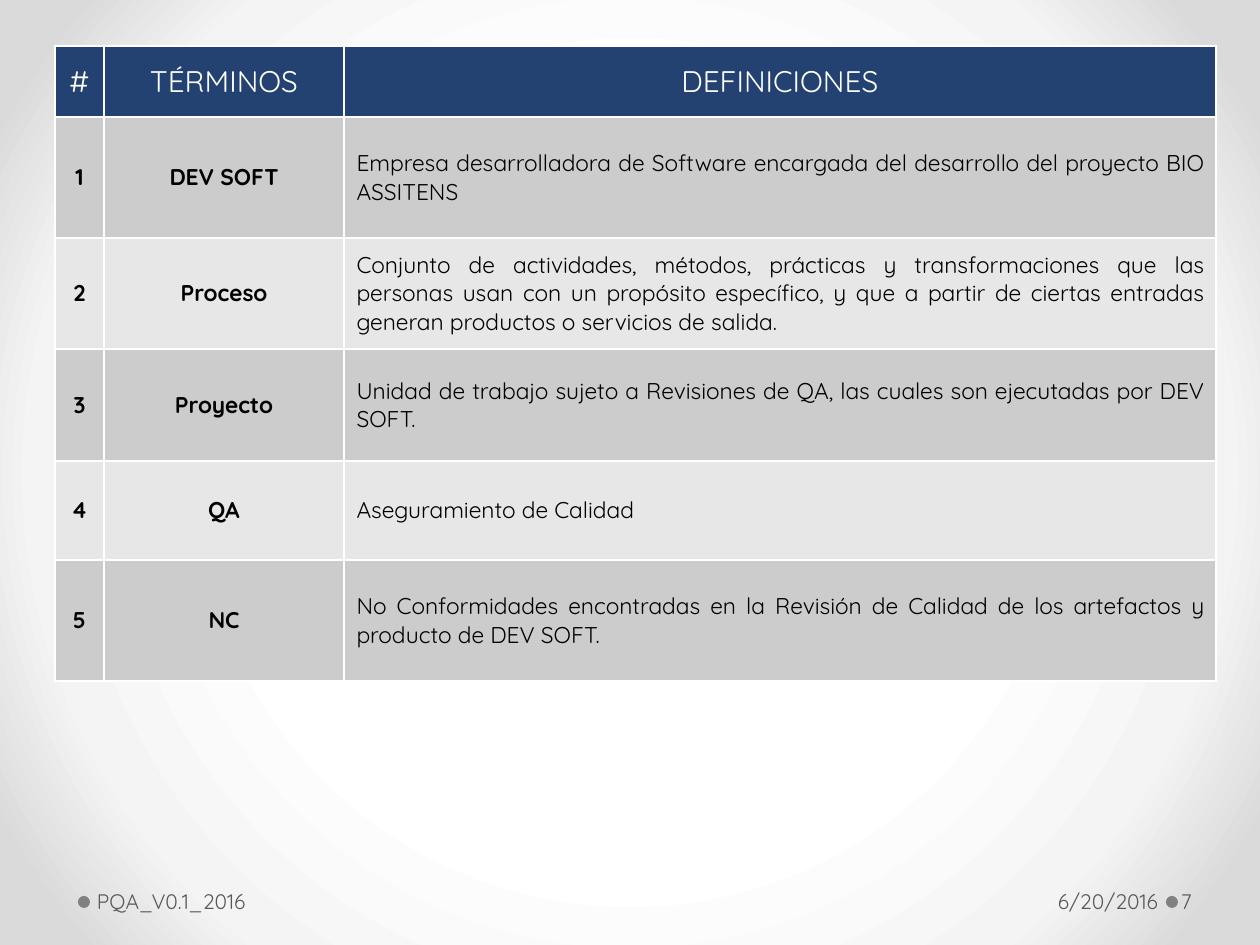
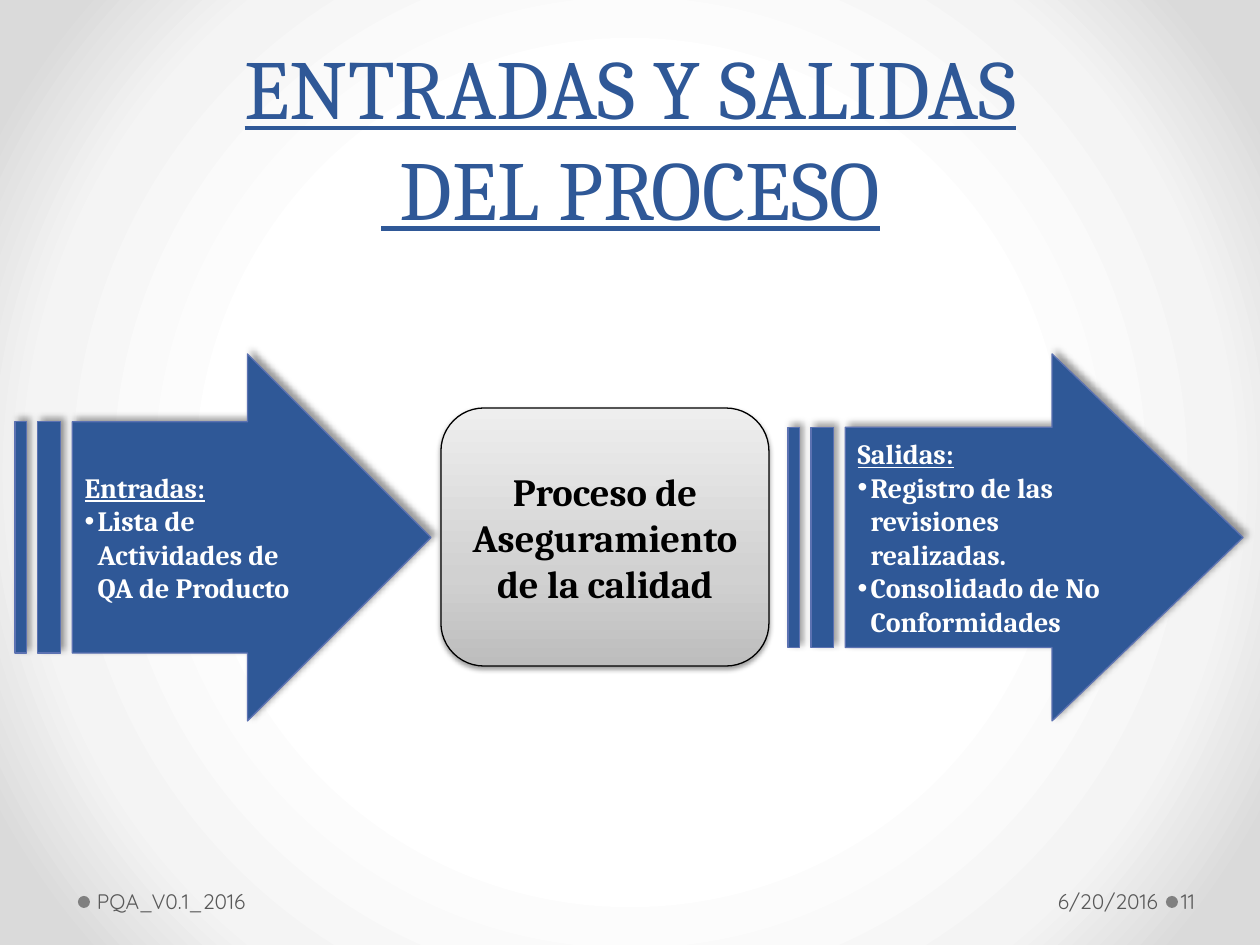
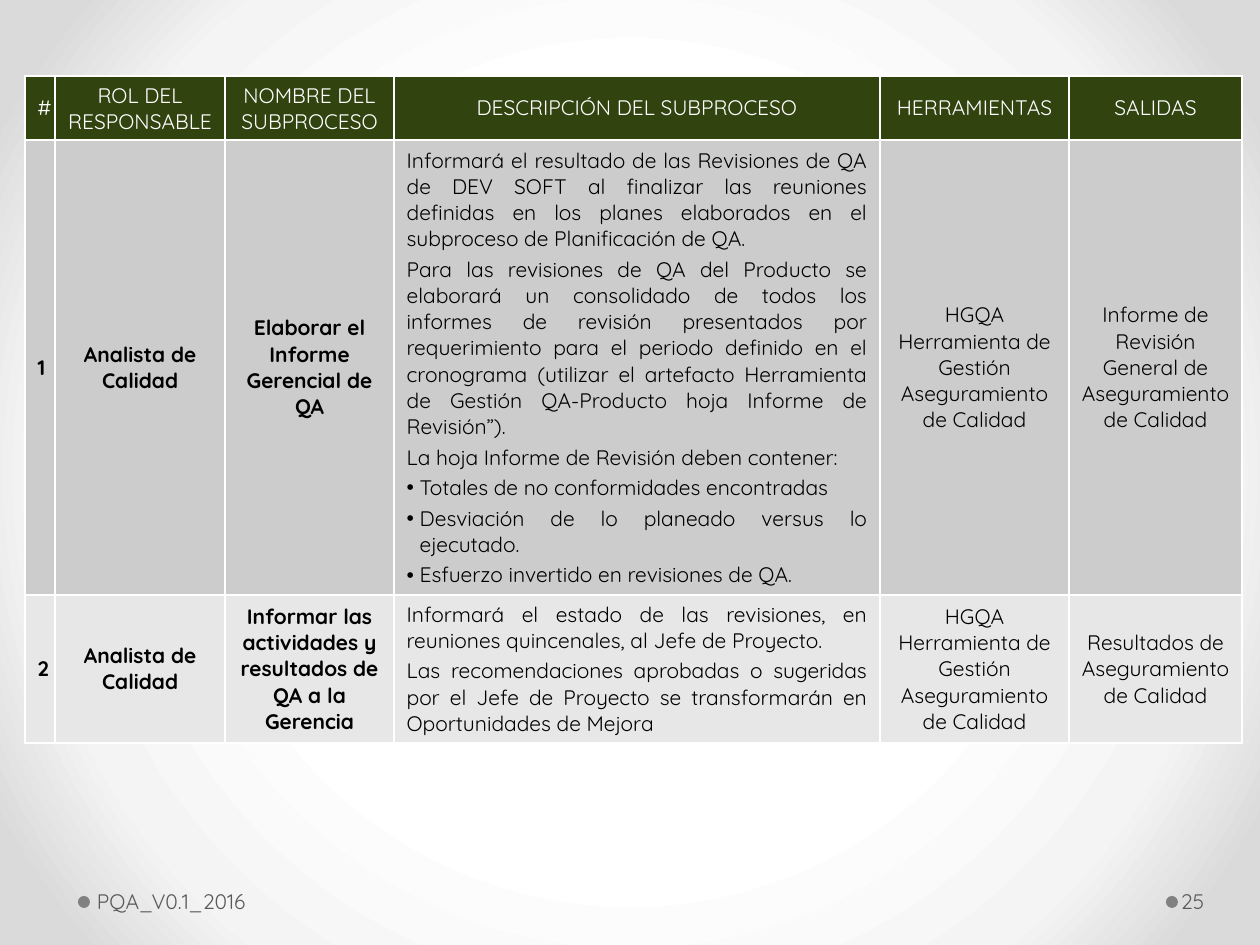
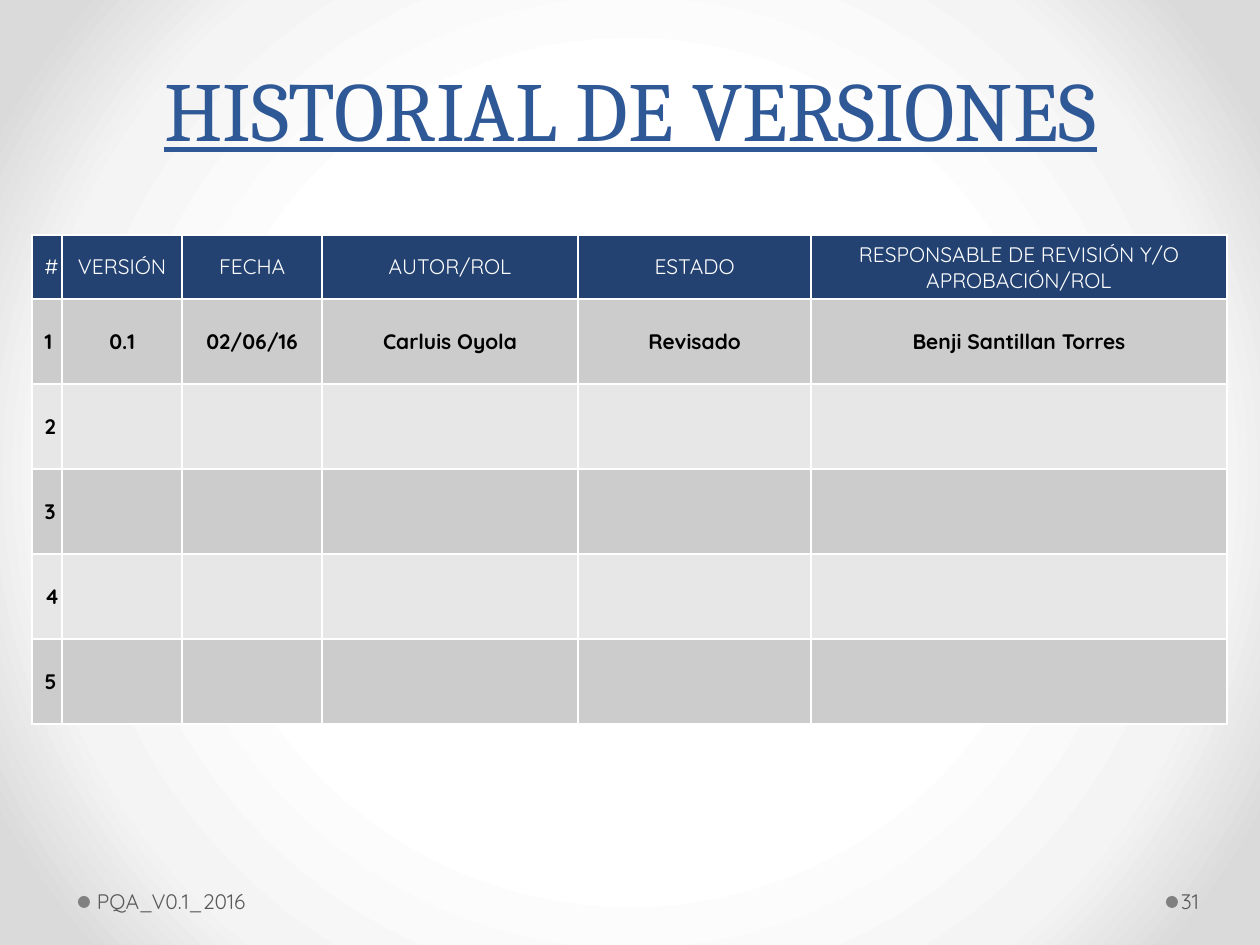
"""Builds four slides of a quality assurance process deck."""
from dataclasses import dataclass
from typing import NamedTuple

from lxml.etree import SubElement
from pptx import Presentation
from pptx.dml.color import RGBColor
from pptx.enum.shapes import MSO_SHAPE
from pptx.enum.text import MSO_ANCHOR, PP_ALIGN
from pptx.oxml import parse_xml
from pptx.oxml.ns import nsdecls, qn
from pptx.util import Emu, Pt

SERIF, SANS = "Cambria", "Quicksand"
WHITE, BLACK, BLUE, NAVY, GREEN = "FFFFFF", "000000", "2F5897", "234271", "314410"
GREY, DOT, EDGE = "595959", "808080", "5C72B2"
BANDS = ("CCCCCC", "E7E7E7")
BACK = ((50, "FFFFFF"), (76, "F4F4F4"), (92, "DADADA"))
STEEL = ((0, "BDBDBD"), (35, "D1D1D1"), (100, "EEEEEE"))
BULLET = "•"
LEFT, CENTER, RIGHT, JUST = PP_ALIGN.LEFT, PP_ALIGN.CENTER, PP_ALIGN.RIGHT, PP_ALIGN.JUSTIFY


class Box(NamedTuple):
    """A place on the slide in pixels."""
    x: int
    y: int
    w: int
    h: int


class Shade(NamedTuple):
    """A shadow: opacity in percent, blur and distance in points, angle in degrees."""
    alpha: int
    blur: float
    dist: float
    angle: int


@dataclass(frozen=True)
class Style:
    """The look of a paragraph."""
    size: int
    face: str
    color: str
    bold: bool = False
    under: bool = False
    align: PP_ALIGN = LEFT
    lead: bool = False


@dataclass(frozen=True)
class Grid:
    """A table whose column 'prose' is justified and starts the light text."""
    x: int
    y: int
    cols: list[int]
    rows: list[int]
    color: str
    head: int
    body: int
    prose: int
    cells: list[list[str]]


@dataclass(frozen=True)
class Arrow:
    """A striped arrow with a heading and bullets."""
    box: Box
    bends: tuple[float, float]
    head: str
    items: list[str]


TITLE = Style(48, SERIF, BLUE, under=True, align=CENTER)
NOTE = Style(12, SANS, GREY)
DATED = Style(12, SANS, GREY, align=RIGHT)
ARROW_HEAD = Style(16, SERIF, WHITE, bold=True, under=True)
ARROW_ITEM = Style(16, SERIF, WHITE, bold=True)
CORE = Style(22, SERIF, BLACK, bold=True, align=CENTER)


def px(count: int) -> Emu:
    """Turn pixels into EMU."""
    return Emu(round(count * 914400 / 126))


def area(box: Box) -> list[Emu]:
    """Turn a box into EMU lengths."""
    return [px(side) for side in box]


def rgb(code: str) -> RGBColor:
    """Turn a hex string into a colour."""
    return RGBColor.from_string(code)


def blend(stops, shape: str):
    """Make a gradient fill with the given shape XML."""
    marks = "".join(
        f'<a:gs pos="{pos * 1000}"><a:srgbClr val="{code}"/></a:gs>' for pos, code in stops)
    return parse_xml(f'<a:gradFill {nsdecls("a")} rotWithShape="1">'
                     f'<a:gsLst>{marks}</a:gsLst>{shape}</a:gradFill>')


def write(par, text: str, style: Style) -> None:
    """Fill a paragraph; a leading bullet mark makes it a list item."""
    par.text = text.removeprefix(BULLET)
    par.alignment = style.align
    props = par._p.get_or_add_pPr()
    if style.lead:
        SubElement(SubElement(props, qn("a:spcBef")), qn("a:spcPct")).set("val", "20000")
    if text.startswith(BULLET):
        props.set("marL", str(px(13)))
        props.set("indent", str(-px(13)))
        SubElement(props, qn("a:buFont")).set("typeface", "Arial")
        SubElement(props, qn("a:buChar")).set("char", BULLET)
    font = par.font
    font.size, font.name, font.bold, font.underline = (
        Pt(style.size), style.face, style.bold, style.under)
    font.color.rgb = rgb(style.color)


def fill_text(frame, lines: list[str], styles: list[Style]) -> None:
    """Write one paragraph for each line."""
    for i, (line, style) in enumerate(zip(lines, styles)):
        write(frame.add_paragraph() if i else frame.paragraphs[0], line, style)


def label(slide, box: Box, text: str, style: Style, left: int = 13, right: int = 13,
          anchor: MSO_ANCHOR = MSO_ANCHOR.MIDDLE) -> None:
    """Add a wrapped text box."""
    frame = slide.shapes.add_textbox(*area(box)).text_frame
    frame.word_wrap = True
    frame.vertical_anchor = anchor
    frame.margin_left, frame.margin_right = px(left), px(right)
    frame.margin_top = frame.margin_bottom = px(6)
    write(frame.paragraphs[0], text, style)


def block(slide, kind: MSO_SHAPE, box: Box, color: str, edge: str = "",
          shade: Shade | None = None):
    """Add a filled shape with an optional edge and shadow."""
    shape = slide.shapes.add_shape(kind, *area(box))
    shape.shadow.inherit = False
    shape.fill.solid()
    shape.fill.fore_color.rgb = rgb(color)
    if edge:
        shape.line.color.rgb = rgb(edge)
        shape.line.width = Pt(0.75)
    else:
        shape.line.fill.background()
    if shade:
        effects = shape._element.spPr.find(qn("a:effectLst"))
        effects.append(parse_xml(
            f'<a:outerShdw {nsdecls("a")} blurRad="{Pt(shade.blur)}" dist="{Pt(shade.dist)}" '
            f'dir="{shade.angle * 60000}" algn="ctr" rotWithShape="0"><a:srgbClr val="{BLACK}">'
            f'<a:alpha val="{shade.alpha * 1000}"/></a:srgbClr></a:outerShdw>'))
    return shape


def start(deck, page: int, date: str = ""):
    """Add a slide with its background and footer."""
    slide = deck.slides.add_slide(deck.slide_layouts[6])
    slide.background.fill.gradient()
    old = next(slide._element.iter(qn("a:gradFill")))
    old.getparent().replace(old, blend(
        BACK, '<a:path path="circle"><a:fillToRect l="50000" t="50000" r="50000" b="50000"/>'
              '</a:path>'))
    for x in (1166, 78):
        block(slide, MSO_SHAPE.OVAL, Box(x, 896, 12, 12), DOT)
    label(slide, Box(1177, 876, 77, 50), str(page), NOTE, left=4, right=6)
    label(slide, Box(91, 876, 499, 50), "PQA_V0.1_2016", NOTE, left=6)
    if date:
        label(slide, Box(877, 876, 287, 50), date, DATED, right=6)
    return slide


def title(slide, text: str, high: int) -> None:
    """Add the underlined title."""
    label(slide, Box(35, 24, 1191, high), text, TITLE, anchor=MSO_ANCHOR.BOTTOM)


def rule(cell) -> None:
    """Draw thin white borders."""
    props = cell._tc.get_or_add_tcPr()
    for i, side in enumerate("LRTB"):
        props.insert(i, parse_xml(
            f'<a:ln{side} {nsdecls("a")} w="{Pt(1)}"><a:solidFill>'
            f'<a:srgbClr val="{WHITE}"/></a:solidFill></a:ln{side}>'))


def table(slide, grid: Grid) -> None:
    """Draw a table with a dark head and banded rows."""
    box = Box(grid.x, grid.y, sum(grid.cols), sum(grid.rows))
    sheet = slide.shapes.add_table(len(grid.rows), len(grid.cols), *area(box)).table
    sheet.first_row = sheet.horz_banding = False
    for col, wide in zip(sheet.columns, grid.cols):
        col.width = px(wide)
    for row, high in zip(sheet.rows, grid.rows):
        row.height = px(high)
    for r, texts in enumerate(grid.cells):
        for c, text in enumerate(texts):
            cell = sheet.cell(r, c)
            cell.vertical_anchor = MSO_ANCHOR.MIDDLE
            cell.fill.solid()
            cell.fill.fore_color.rgb = rgb(BANDS[(r - 1) % 2] if r else grid.color)
            rule(cell)
            if r:
                style = Style(grid.body, SANS, BLACK, bold=c < grid.prose,
                              align=JUST if c == grid.prose else CENTER, lead=True)
            else:
                style = Style(grid.head, SANS, WHITE, align=CENTER)
            if text:
                lines = text.split("\n")
                fill_text(cell.text_frame, lines, [style] * len(lines))


def arrow(slide, flow: Arrow) -> None:
    """Draw a striped arrow with its list."""
    shape = block(slide, MSO_SHAPE.STRIPED_RIGHT_ARROW, flow.box, BLUE, EDGE,
                  Shade(40, 4, 3, 315))
    shape.adjustments[0], shape.adjustments[1] = flow.bends
    fill_text(shape.text_frame, [flow.head] + [BULLET + item for item in flow.items],
              [ARROW_HEAD] + [ARROW_ITEM] * len(flow.items))


def core(slide, box: Box, text: str) -> None:
    """Draw the steel process box."""
    shape = block(slide, MSO_SHAPE.ROUNDED_RECTANGLE, box, WHITE, BLACK, Shade(38, 3.1, 1.6, 90))
    props = shape._element.spPr
    props.replace(props.find(qn("a:solidFill")),
                  blend(STEEL, '<a:lin ang="16200000" scaled="1"/>'))
    write(shape.text_frame.paragraphs[0], text, CORE)


TERMS = Grid(55, 46, [49, 240, 872], [71, 121, 111, 112, 99, 121], NAVY, 17, 13, 2, [
    ["#", "TÉRMINOS", "DEFINICIONES"],
    ["1", "DEV SOFT",
     "Empresa desarrolladora de Software encargada del desarrollo del proyecto BIO ASSITENS"],
    ["2", "Proceso",
     "Conjunto de actividades, métodos, prácticas y transformaciones que las personas usan con "
     "un propósito específico, y que a partir de ciertas entradas generan productos o servicios "
     "de salida."],
    ["3", "Proyecto",
     "Unidad de trabajo sujeto a Revisiones de QA, las cuales son ejecutadas por DEV SOFT."],
    ["4", "QA", "Aseguramiento de Calidad"],
    ["5", "NC",
     "No Conformidades encontradas en la Revisión de Calidad de los artefactos y producto de "
     "DEV SOFT."],
])

TOOL = "HGQA Herramienta de Gestión Aseguramiento de Calidad"
ROLE = "Analista de Calidad"
TASKS = Grid(25, 76, [29, 170, 169, 486, 189, 173], [64, 455, 148], GREEN, 12, 12, 3, [
    ["#", "ROL DEL RESPONSABLE", "NOMBRE DEL SUBPROCESO", "DESCRIPCIÓN DEL SUBPROCESO",
     "HERRAMIENTAS", "SALIDAS"],
    ["1", ROLE, "Elaborar el Informe Gerencial de QA",
     "Informará el resultado de las Revisiones de QA de DEV SOFT al finalizar las reuniones "
     "definidas en los planes elaborados en el subproceso de Planificación de QA.\n"
     "Para las revisiones de QA del Producto se elaborará un consolidado de todos los informes "
     "de revisión presentados por requerimiento para el periodo definido en el cronograma "
     "(utilizar el artefacto Herramienta de Gestión QA-Producto hoja Informe de Revisión”).\n"
     "La hoja Informe de Revisión deben contener:\n"
     "•Totales de no conformidades encontradas\n"
     "•Desviación de lo planeado versus lo ejecutado.\n"
     "•Esfuerzo invertido en revisiones de QA.",
     TOOL, "Informe de Revisión General de Aseguramiento de Calidad"],
    ["2", ROLE, "Informar las actividades y resultados de QA a la Gerencia",
     "Informará el estado de las revisiones, en reuniones quincenales, al Jefe de Proyecto.\n"
     "Las recomendaciones aprobadas o sugeridas por el Jefe de Proyecto se transformarán en "
     "Oportunidades de Mejora",
     TOOL, "Resultados de Aseguramiento de Calidad"],
])

LOG = Grid(32, 235, [29, 120, 140, 256, 233, 416], [64] + [85] * 5, NAVY, 12, 12, 6, [
    ["#", "VERSIÓN", "FECHA", "AUTOR/ROL", "ESTADO", "RESPONSABLE DE REVISIÓN Y/O APROBACIÓN/ROL"],
    ["1", "0.1", "02/06/16", "Carluis Oyola", "Revisado", "Benji Santillan Torres"],
    *([str(n)] + [""] * 5 for n in range(2, 6)),
])

FLOWS = [
    Arrow(Box(15, 354, 416, 367), (0.63, 0.5), "Entradas:",
          ["Lista de Actividades de QA de Producto"]),
    Arrow(Box(788, 354, 455, 367), (0.6, 0.52), "Salidas:",
          ["Registro de las revisiones realizadas.", "Consolidado de No Conformidades"]),
]


def main() -> None:
    """Build and save the deck."""
    deck = Presentation()
    deck.slide_width, deck.slide_height = px(1260), px(945)
    date = "6/20/2016"

    table(start(deck, 7, date), TERMS)

    flow = start(deck, 11, date)
    for item in FLOWS:
        arrow(flow, item)
    core(flow, Box(441, 408, 328, 258), "Proceso de Aseguramiento de la calidad")
    title(flow, "ENTRADAS Y SALIDAS\v DEL PROCESO", 219)

    table(start(deck, 25), TASKS)

    past = start(deck, 31)
    table(past, LOG)
    title(past, "HISTORIAL DE VERSIONES", 140)

    deck.save("out.pptx")


main()
